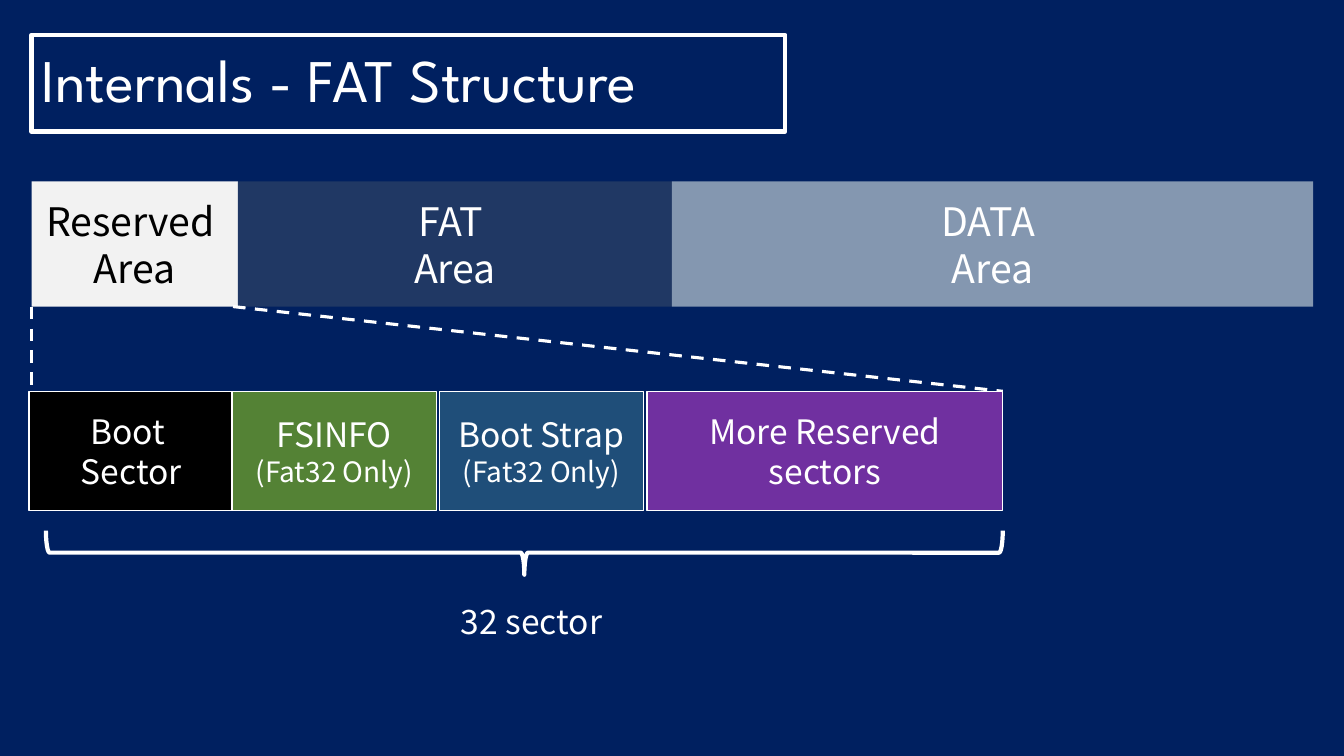
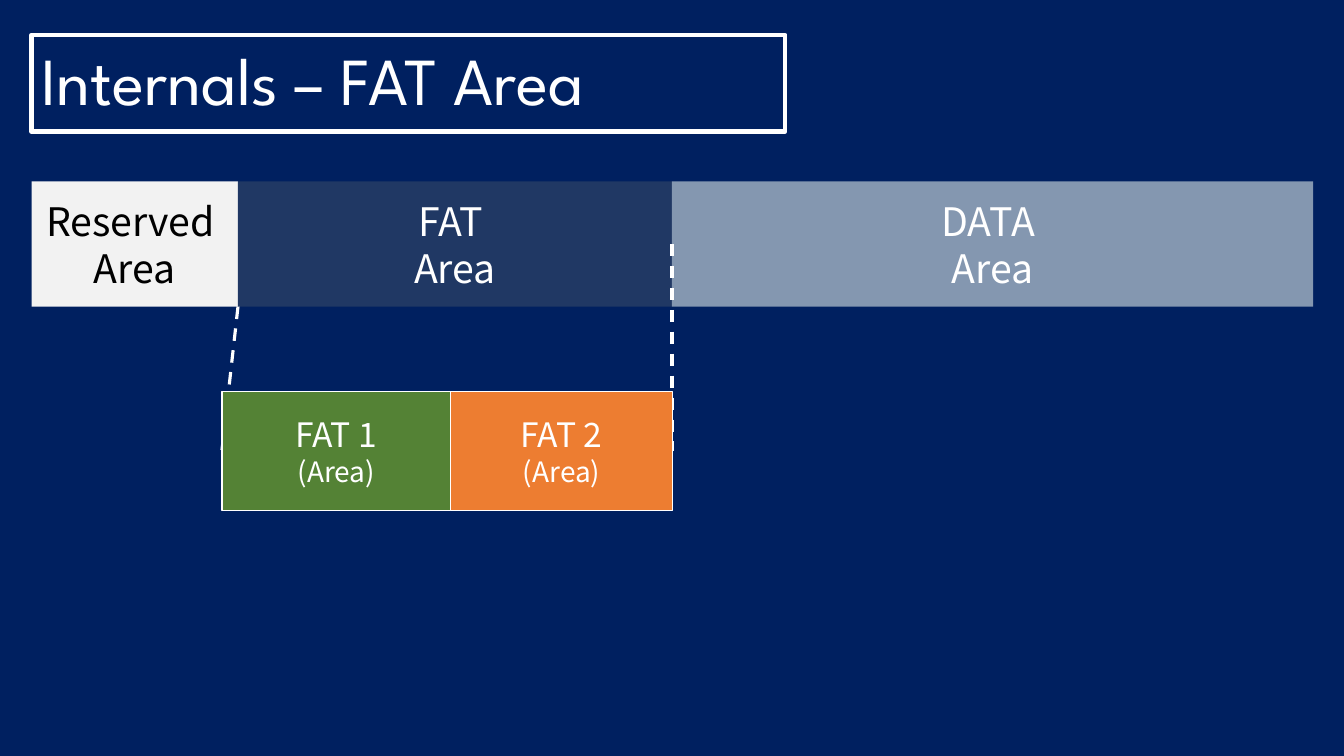
from dataclasses import dataclass
from typing import NamedTuple

import lxml.etree
import pptx
import pptx.dml.color
import pptx.enum.dml
import pptx.enum.shapes
import pptx.enum.text
import pptx.oxml.ns
import pptx.util

Pt = pptx.util.Pt
SHAPE = pptx.enum.shapes.MSO_SHAPE
ALIGN = pptx.enum.text.PP_ALIGN
ANCHOR = pptx.enum.text.MSO_ANCHOR


@dataclass(frozen=True)
class Theme:
    background: str = "002060"
    white: str = "FFFFFF"
    black: str = "000000"
    reserved: str = "F2F2F2"
    fat: str = "203864"
    data: str = "8497B0"
    green: str = "548235"
    blue: str = "1F4E79"
    purple: str = "7030A0"
    orange: str = "ED7D31"
    title_font: str = "League Spartan"
    body_font: str = "Noto Sans CJK KR"
    area_size: float = 28
    sector_size: float = 24
    note_size: float = 20
    frame_line: float = 3
    guide_line: float = 2.25
    cell_line: float = 1


class Box(NamedTuple):
    left: float
    top: float
    width: float
    height: float

    @property
    def right(self):
        return self.left + self.width

    @property
    def bottom(self):
        return self.top + self.height


THEME = Theme()
TITLE = Box(22.5, 25, 538.5, 69)
DISK = Box(22.5, 129.5, 915.5, 89.5)
RESERVED_DETAIL = Box(20.75, 279.5, 695.5, 85)
FAT_DETAIL = Box(158.5, 279.5, 322, 85)

# label lines, width, fill, text colour
AREAS = [
    (("Reserved ", "Area"), 147.5, THEME.reserved, THEME.black),
    (("FAT ", "Area"), 310, THEME.fat, THEME.white),
    (("DATA ", "Area"), 458, THEME.data, THEME.white),
]
# label lines, size of the second line, offset, width, fill
RESERVED_SECTORS = [
    (("Boot ", "Sector"), THEME.sector_size, 0, 146, THEME.black),
    (("FSINFO", "(Fat32 Only)"), THEME.note_size, 145, 146, THEME.green),
    (("Boot Strap", "(Fat32 Only)"), THEME.note_size, 293, 146, THEME.blue),
    (("More Reserved", "sectors"), THEME.sector_size, 441.5, 254, THEME.purple),
]
FAT_COPIES = [
    (("FAT 1", "(Area)"), THEME.note_size, 0, 163.5, THEME.green),
    (("FAT 2", "(Area)"), THEME.note_size, 163.5, 158.5, THEME.orange),
]


def rgb(value):
    return pptx.dml.color.RGBColor.from_string(value)


def add_shape(shapes, kind, box, fill=None, line_width=None):
    """Add a shape without shadow; no fill or no white outline when None."""
    sp = shapes.add_shape(kind, *map(Pt, box))
    sp.shadow.inherit = False
    if fill:
        sp.fill.solid()
        sp.fill.fore_color.rgb = rgb(fill)
    else:
        sp.fill.background()
    if line_width:
        sp.line.color.rgb = rgb(THEME.white)
        sp.line.width = Pt(line_width)
    else:
        sp.line.fill.background()
    return sp


def write(sp, lines, sizes, color=THEME.white, font=THEME.body_font,
          align=ALIGN.CENTER, anchor=ANCHOR.MIDDLE):
    tf = sp.text_frame
    tf.word_wrap = True
    tf.vertical_anchor = anchor
    tf.text = "\n".join(lines)
    for p, size in zip(tf.paragraphs, sizes):
        p.alignment = align
        p.font.name = font
        p.font.size = Pt(size)
        p.font.color.rgb = rgb(color)


def add_title(s, box, text, size):
    sp = add_shape(s.shapes, SHAPE.RECTANGLE, box, line_width=THEME.frame_line)
    write(sp, [text], [size], font=THEME.title_font, align=ALIGN.LEFT)
    sp.text_frame.paragraphs[0].line_spacing = 0.9


def add_disk(s, box):
    """Draw the grouped disk areas and return the box of each."""
    group = s.shapes.add_group_shape()
    left, boxes = box.left, []
    for lines, width, fill, color in AREAS:
        area = Box(left, box.top, width, box.height)
        sp = add_shape(group.shapes, SHAPE.RECTANGLE, area, fill)
        write(sp, lines, [THEME.area_size] * 2, color)
        boxes.append(area)
        left = area.right
    return boxes


def add_detail(s, box, cells):
    for lines, second_size, offset, width, fill in cells:
        cell = Box(box.left + offset, box.top, width, box.height)
        sp = add_shape(s.shapes, SHAPE.RECTANGLE, cell, fill, THEME.cell_line)
        write(sp, lines, [THEME.sector_size, second_size])


def add_guide(s, start, end):
    """Draw a dashed line between two points."""
    line = s.shapes.add_connector(
        pptx.enum.shapes.MSO_CONNECTOR.STRAIGHT, *map(Pt, start + end))
    line.line.color.rgb = rgb(THEME.white)
    line.line.width = Pt(THEME.guide_line)
    line.line.dash_style = pptx.enum.dml.MSO_LINE.DASH
    lxml.etree.SubElement(line._element.spPr, pptx.oxml.ns.qn("a:effectLst"))


def add_brace(s, box, label):
    """Fill the box with a brace that points down to a label."""
    center_x = box.left + box.width / 2
    center_y = box.top + box.height / 2
    upright = Box(center_x - box.height / 2, center_y - box.width / 2,
                  box.height, box.width)
    sp = add_shape(s.shapes, SHAPE.RIGHT_BRACE, upright,
                   line_width=THEME.frame_line)
    sp.rotation = 90
    caption = Box(center_x - 52.5, box.bottom + 15.5, 140, 36)
    tb = s.shapes.add_textbox(*map(Pt, caption))
    write(tb, [label], [THEME.sector_size], align=ALIGN.LEFT, anchor=ANCHOR.TOP)


def add_structure_slide(s):
    add_title(s, TITLE, "Internals - FAT Structure", 43.2)
    reserved = add_disk(s, DISK)[0]
    detail = RESERVED_DETAIL
    add_guide(s, (reserved.right - 3.5, reserved.bottom),
              (detail.right, detail.top))
    add_guide(s, (reserved.left, reserved.bottom), (reserved.left, detail.top))
    add_detail(s, detail, RESERVED_SECTORS)
    add_brace(s, Box(detail.left + 12, detail.bottom + 14.5,
                     detail.width - 12, 31.5), "32 sector")


def add_fat_slide(s):
    add_title(s, TITLE, "Internals – FAT Area", 48)
    fat = add_disk(s, DISK)[1]
    detail = FAT_DETAIL
    middle = detail.top + detail.height / 2
    add_guide(s, (fat.right, fat.top + fat.height / 2), (fat.right, middle))
    add_guide(s, (fat.left, fat.bottom), (detail.left, middle))
    add_detail(s, detail, FAT_COPIES)


def main():
    prs = pptx.Presentation()
    prs.slide_width, prs.slide_height = Pt(960), Pt(540)
    fill = prs.slide_master.background.fill
    fill.solid()
    fill.fore_color.rgb = rgb(THEME.background)
    for build in (add_structure_slide, add_fat_slide):
        build(prs.slides.add_slide(prs.slide_layouts[6]))
    prs.save("out.pptx")


if __name__ == "__main__":
    main()
